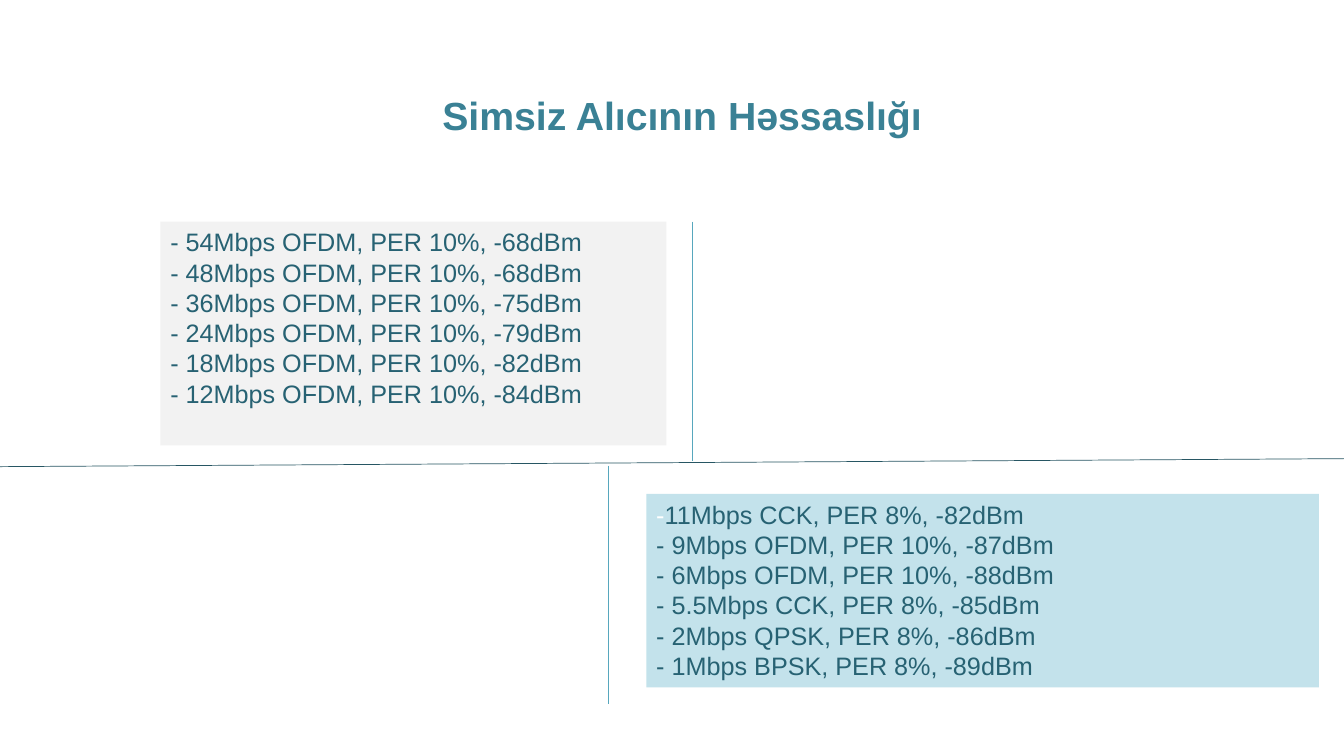
from lxml.etree import SubElement
from pptx import Presentation
from pptx.dml.color import RGBColor
from pptx.enum.shapes import MSO_CONNECTOR, MSO_SHAPE
from pptx.enum.text import MSO_ANCHOR, PP_ALIGN
from pptx.oxml.ns import qn
from pptx.util import Inches, Pt

SLIDE_WIDTH, SLIDE_HEIGHT = 13.33, 7.5
FONT = "Arial"
WHITE, GREY, PALE_BLUE = "FFFFFF", "F2F2F2", "C3E2EB"
TEXT_TEAL, TITLE_TEAL = "276273", "3A8195"
DIVIDER_TEAL, AXIS_TEAL = "57A7BD", "275663"

HIGH_RATES = [
    [(f"- {rate}Mbps OFDM, PER 10%, -{level}dBm", TEXT_TEAL)]
    for rate, level in [(54, 68), (48, 68), (36, 75), (24, 79), (18, 82), (12, 84)]
]
LOW_RATES = [[("-", WHITE), ("11Mbps CCK, PER 8%, -82dBm", TEXT_TEAL)]] + [
    [(f"- {rate}Mbps {modulation}, PER {error}%, -{level}dBm", TEXT_TEAL)]
    for rate, modulation, error, level in [
        ("9", "OFDM", 10, 87),
        ("6", "OFDM", 10, 88),
        ("5.5", "CCK", 8, 85),
        ("2", "QPSK", 8, 86),
        ("1", "BPSK", 8, 89),
    ]
]


def color(hex_string):
    return RGBColor.from_string(hex_string)


def across(percent):
    """Length as a percentage of the slide width."""
    return Inches(SLIDE_WIDTH * percent / 100)


def down(percent):
    """Length as a percentage of the slide height."""
    return Inches(SLIDE_HEIGHT * percent / 100)


def add_run(paragraph, text, size, hex_string, bold=False):
    run = paragraph.add_run()
    run.text = text
    run.font.name = FONT
    run.font.size = Pt(size)
    run.font.bold = bold
    run.font.color.rgb = color(hex_string)


def set_title(slide, text):
    title = slide.shapes.title
    title.left, title.top = across(31.96), down(11.47)
    title.width, title.height = across(37.58), down(7.6)
    frame = title.text_frame
    frame.word_wrap = False
    frame.vertical_anchor = MSO_ANCHOR.TOP
    paragraph = frame.paragraphs[0]
    paragraph.alignment = PP_ALIGN.CENTER
    paragraph.line_spacing = 1.0
    add_run(paragraph, text, 28, TITLE_TEAL, bold=True)


def add_panel(slide, left, top, width, height, fill, lines):
    """Filled box with one paragraph per line of (text, colour) runs."""
    panel = slide.shapes.add_shape(
        MSO_SHAPE.RECTANGLE, across(left), down(top), across(width), down(height)
    )
    panel.shadow.inherit = False
    panel.fill.solid()
    panel.fill.fore_color.rgb = color(fill)
    panel.line.fill.background()
    frame = panel.text_frame
    frame.word_wrap = True
    frame.vertical_anchor = MSO_ANCHOR.TOP
    for index, runs in enumerate(lines):
        paragraph = frame.add_paragraph() if index else frame.paragraphs[0]
        paragraph.alignment = PP_ALIGN.LEFT
        for text, hex_string in runs:
            add_run(paragraph, text, 18, hex_string)


def add_line(slide, start, end, hex_string):
    line = slide.shapes.add_connector(
        MSO_CONNECTOR.STRAIGHT,
        across(start[0]), down(start[1]), across(end[0]), down(end[1]),
    )
    line.line.color.rgb = color(hex_string)
    line.line.width = Pt(0.5)
    SubElement(line._element.spPr, qn("a:effectLst"))


def main():
    presentation = Presentation()
    presentation.slide_width = Inches(SLIDE_WIDTH)
    presentation.slide_height = Inches(SLIDE_HEIGHT)
    slide = presentation.slides.add_slide(presentation.slide_layouts[5])

    set_title(slide, "Simsiz Alıcının Həssaslığı")
    add_panel(slide, 11.93, 29.33, 37.66, 29.6, GREY, HIGH_RATES)
    add_panel(slide, 48.09, 65.33, 50.04, 25.6, PALE_BLUE, LOW_RATES)
    add_line(slide, (0, 61.73), (100, 60.67), AXIS_TEAL)
    add_line(slide, (45.24, 61.6), (45.24, 93.07), DIVIDER_TEAL)
    add_line(slide, (51.54, 29.33), (51.54, 60.93), DIVIDER_TEAL)
    presentation.save("out.pptx")


if __name__ == "__main__":
    main()
